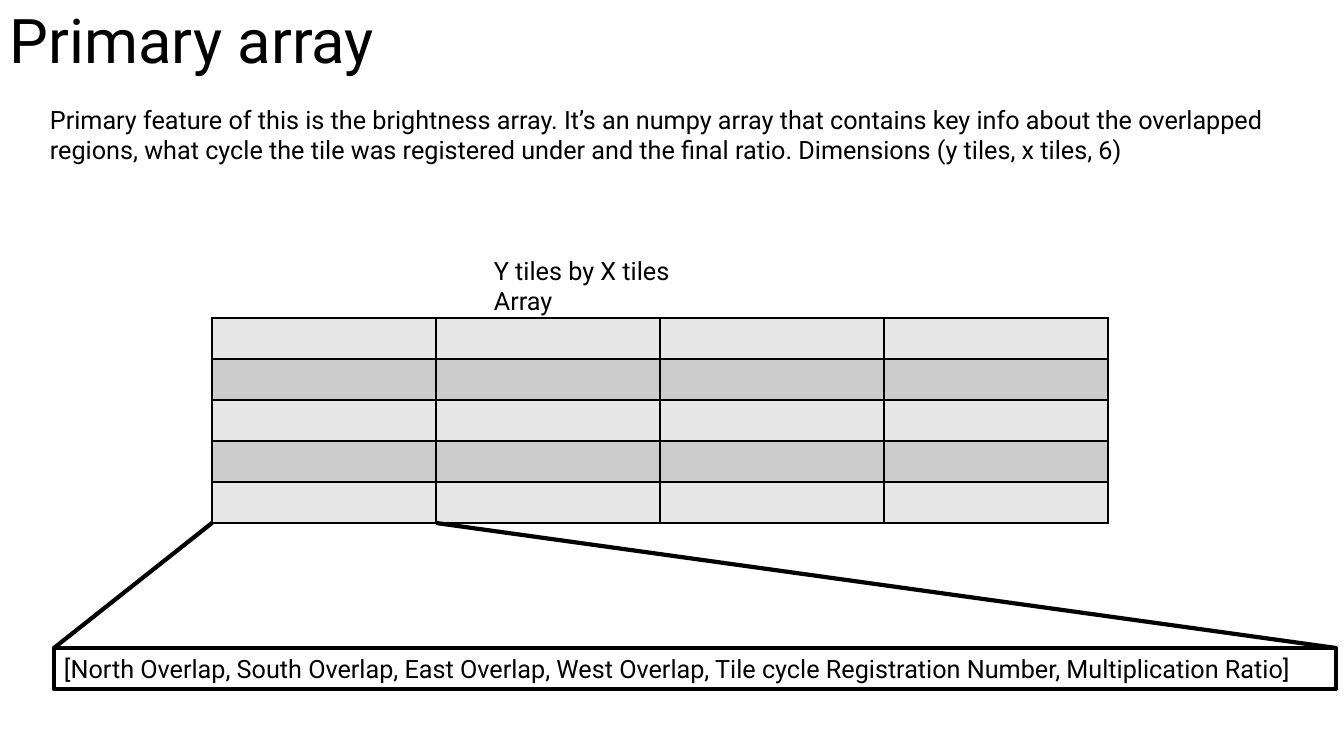
from dataclasses import dataclass

from lxml.etree import SubElement
from pptx import Presentation
from pptx.dml.color import RGBColor
from pptx.enum.shapes import MSO_CONNECTOR, MSO_SHAPE
from pptx.enum.text import MSO_ANCHOR, PP_ALIGN
from pptx.oxml.ns import qn
from pptx.util import Emu, Pt

EMU_PER_PX = 914400 / 100.8


def px(length):
    return Emu(round(length * EMU_PER_PX))


@dataclass(frozen=True)
class Theme:
    font: str = "Roboto"
    ink: RGBColor = RGBColor(0, 0, 0)
    bands: tuple = (RGBColor(0xE7, 0xE7, 0xE7), RGBColor(0xCC, 0xCC, 0xCC))
    title_size: int = 44
    body_size: int = 18
    grid_width: int = 1
    outline_width: int = 3


class SlideBuilder:
    def __init__(self, slide, theme):
        self.slide = slide
        self.theme = theme

    def fill_text(self, shape, words, size, frame_format=None, line_spacing=None):
        frame = shape.text_frame
        for name, value in {"word_wrap": True, **(frame_format or {})}.items():
            setattr(frame, name, value)
        paragraph = frame.paragraphs[0]
        paragraph.alignment = PP_ALIGN.LEFT
        paragraph.line_spacing = line_spacing
        run = paragraph.add_run()
        run.text = words
        for name, value in {"name": self.theme.font, "size": Pt(size)}.items():
            setattr(run.font, name, value)
        run.font.color.rgb = self.theme.ink

    def outline(self, line):
        line.color.rgb = self.theme.ink
        line.width = Pt(self.theme.outline_width)

    def text(self, words, box, size, **options):
        shape = self.slide.shapes.add_textbox(*map(px, box))
        self.fill_text(shape, words, size, **options)

    def framed_text(self, words, box, size):
        shape = self.slide.shapes.add_shape(MSO_SHAPE.RECTANGLE, *map(px, box))
        shape.shadow.inherit = False
        shape.fill.background()
        self.outline(shape.line)
        self.fill_text(shape, words, size, {"vertical_anchor": MSO_ANCHOR.TOP})

    def line(self, start, end):
        connector = self.slide.shapes.add_connector(
            MSO_CONNECTOR.STRAIGHT, *map(px, (*start, *end)))
        self.outline(connector.line)
        SubElement(connector._element.spPr, qn("a:effectLst"))

    def border(self, cell):
        """Draw all four sides; borders must precede the cell's fill."""
        properties = cell._tc.get_or_add_tcPr()
        for side in ("a:lnL", "a:lnR", "a:lnT", "a:lnB"):
            edge = SubElement(properties, qn(side), w=str(Pt(self.theme.grid_width)))
            fill = SubElement(edge, qn("a:solidFill"))
            SubElement(fill, qn("a:srgbClr"), val=str(self.theme.ink))

    def banded_grid(self, rows, columns, box):
        table = self.slide.shapes.add_table(rows, columns, *map(px, box)).table
        table.first_row = table.horz_banding = False
        for row_index, row in enumerate(table.rows):
            for cell in row.cells:
                self.border(cell)
                cell.fill.solid()
                cell.fill.fore_color.rgb = self.theme.bands[row_index % 2]


def main():
    presentation = Presentation()
    presentation.slide_width, presentation.slide_height = px(1344), px(756)
    slide = presentation.slides.add_slide(presentation.slide_layouts[6])
    theme = Theme()
    builder = SlideBuilder(slide, theme)

    builder.text("Primary array", (0, 0, 1159, 87), theme.title_size,
                 frame_format={"vertical_anchor": MSO_ANCHOR.MIDDLE}, line_spacing=0.9)

    rows, columns, row_height, column_width = 5, 4, 41, 224
    grid_left, grid_top = 212, 318
    grid_bottom = grid_top + rows * row_height
    builder.banded_grid(rows, columns, (grid_left, grid_top, columns * column_width,
                                        rows * row_height))

    builder.text("Y tiles by X tiles Array", (484, 250, 249, 40), theme.body_size)
    builder.text(
        "Primary feature of this is the brightness array. It’s an numpy array that "
        "contains key info about the overlapped regions, what cycle the tile was "
        "registered under and the final ratio. Dimensions (y tiles, x tiles, 6)",
        (40, 99, 1264, 102), theme.body_size)

    detail_left, detail_top, detail_width = 54, 648, 1282
    builder.framed_text(
        "[North Overlap, South Overlap, East Overlap, West Overlap, "
        "Tile cycle Registration Number, Multiplication Ratio]",
        (detail_left, detail_top, detail_width, 41), theme.body_size)

    for cell_corner, detail_corner in ((grid_left, detail_left),
                                       (grid_left + column_width, detail_left + detail_width)):
        builder.line((cell_corner, grid_bottom), (detail_corner, detail_top))

    presentation.save("out.pptx")


if __name__ == "__main__":
    main()
